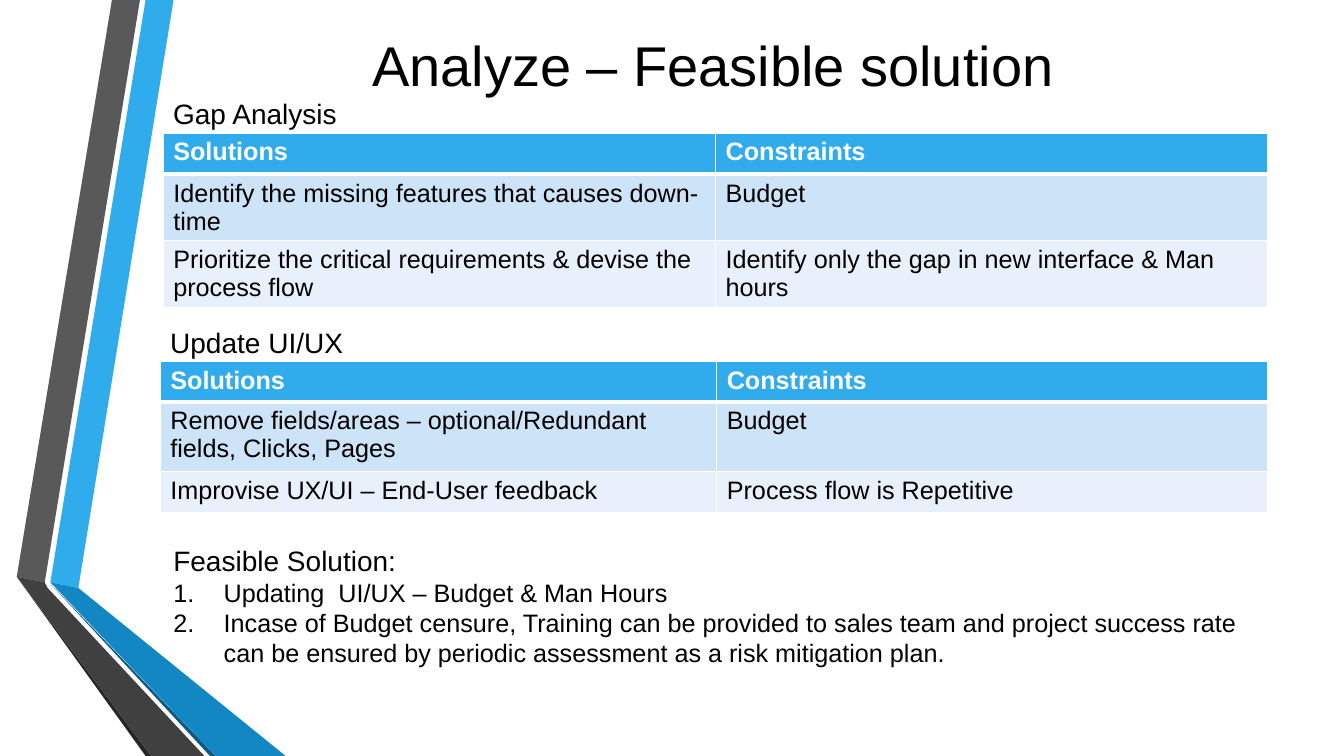
from dataclasses import dataclass

from lxml import etree
from pptx import Presentation, util as u
from pptx.dml.color import RGBColor
from pptx.enum import text
from pptx.oxml import ns


@dataclass(frozen=True)
class Theme:
    font: str = "Arial"
    title: int = 40
    heading: int = 20
    body: int = 18
    ink: str = "000000"
    paper: str = "FFFFFF"
    blue: str = "30ACEC"
    blue_foot: str = "1287C3"
    blue_edge: str = "0C5A82"
    grey: str = "595959"
    grey_foot: str = "404040"
    grey_edge: str = "262626"
    bands: tuple = ("CDE3F8", "E8F1FB")


class Deck:
    def __init__(self, theme):
        self.theme = theme
        self.prs = Presentation()
        self.prs.slide_width, self.prs.slide_height = u.Pt(960), u.Pt(540)
        self.s = self.prs.slides.add_slide(self.prs.slide_layouts[1])

    def place(self, sp, left, top, width, height):
        sp.left, sp.top = u.Pt(left), u.Pt(top)
        sp.width, sp.height = u.Pt(width), u.Pt(height)
        tf = sp.text_frame
        tf.word_wrap = True
        tf.auto_size = text.MSO_AUTO_SIZE.NONE
        return tf

    def style(self, p, size, color=None, bold=False):
        for r in p.runs:
            r.font.name = self.theme.font
            r.font.size = u.Pt(size)
            r.font.bold = bold
            r.font.color.rgb = RGBColor.from_string(color or self.theme.ink)

    def ribbon(self, color, points):
        fb = self.s.shapes.build_freeform(*points[0], scale=u.Pt(1))
        fb.add_line_segments(points[1:], close=True)
        sp = fb.convert_to_shape()
        sp.shadow.inherit = False
        sp.fill.solid()
        sp.fill.fore_color.rgb = RGBColor.from_string(color)
        sp.line.fill.background()

    def title(self, words, *box):
        tf = self.place(self.s.shapes.title, *box)
        tf.text = words
        tf.vertical_anchor = text.MSO_ANCHOR.MIDDLE
        p = tf.paragraphs[0]
        p.alignment = text.PP_ALIGN.CENTER
        self.style(p, self.theme.title)

    def heading(self, words, *box):
        tf = self.place(self.s.shapes.add_textbox(0, 0, 0, 0), *box)
        tf.text = words
        self.style(tf.paragraphs[0], self.theme.heading)

    def numbered(self, heading, items, *box):
        tf = self.place(self.s.placeholders[1], *box)
        tf.text = "\n".join([heading, *items])
        for i, p in enumerate(tf.paragraphs):
            p.space_before = u.Pt(0)
            self.style(p, self.theme.body if i else self.theme.heading)
            pPr = p._p.get_or_add_pPr()
            indent = u.Pt(36) if i else 0
            pPr.set("marL", str(indent))
            pPr.set("indent", str(-indent))
            if i:
                etree.SubElement(pPr, ns.qn("a:buAutoNum"), type="arabicPeriod")
            else:
                etree.SubElement(pPr, ns.qn("a:buNone"))

    def borders(self, cell, bottom):
        tcPr = cell._tc.get_or_add_tcPr()
        widths = {"lnL": 1, "lnR": 1, "lnT": 1, "lnB": bottom}
        for i, (side, width) in enumerate(widths.items()):
            ln = etree.Element(ns.qn(f"a:{side}"), w=str(u.Pt(width)))
            fill = etree.SubElement(ln, ns.qn("a:solidFill"))
            etree.SubElement(fill, ns.qn("a:srgbClr"), val=self.theme.paper)
            tcPr.insert(i, ln)

    def table(self, rows, left, top, widths, heights):
        t = self.theme
        box = [u.Pt(v) for v in (left, top, sum(widths), sum(heights))]
        tbl = self.s.shapes.add_table(len(rows), len(widths), *box).table
        for col, width in zip(tbl.columns, widths):
            col.width = u.Pt(width)
        for i, (row, height) in enumerate(zip(rows, heights)):
            tbl.rows[i].height = u.Pt(height)
            header = i == 0
            fill = t.blue if header else t.bands[(i - 1) % 2]
            for j, words in enumerate(row):
                cell = tbl.cell(i, j)
                cell.text = words
                cell.fill.solid()
                cell.fill.fore_color.rgb = RGBColor.from_string(fill)
                color = t.paper if header else t.ink
                self.style(cell.text_frame.paragraphs[0], t.body, color, header)
                self.borders(cell, 3 if header else 1)


def main():
    theme = Theme()
    d = Deck(theme)

    d.ribbon(theme.blue, [(36, 416), (55.5, 420), (124.5, 0), (104.5, 0)])
    d.ribbon(theme.grey, [(100, 0), (80, 0), (11.5, 412.5), (31.5, 415.5)])
    d.ribbon(theme.grey_edge, [(11.5, 412.5), (104.5, 540), (108.5, 540)])
    d.ribbon(theme.blue_edge, [(36, 417), (150, 540), (154, 540)])
    d.ribbon(theme.blue_foot, [(36, 416.5), (154, 540), (204, 540), (55.5, 420)])
    d.ribbon(theme.grey_foot, [(145.5, 540), (34.5, 420), (31.5, 415.5),
                               (11.5, 412.5), (108.5, 540)])

    d.title("Analyze – Feasible solution", 114.5, 21, 789, 50)

    header = ("Solutions", "Constraints")
    d.heading("Gap Analysis", 116.6, 65.5, 155.5, 31.5)
    d.table([
        header,
        ("Identify the missing features that causes down-time", "Budget"),
        ("Prioritize the critical requirements & devise the process flow",
         "Identify only the gap in new interface & Man hours"),
    ], 116.6, 95, (394.5, 394.5), (29.5, 47, 47))

    d.heading("Update UI/UX", 114.5, 229, 155.5, 31.5)
    d.table([
        header,
        ("Remove fields/areas – optional/Redundant fields, Clicks, Pages", "Budget"),
        ("Improvise UX/UI – End-User feedback", "Process flow is Repetitive"),
    ], 114.5, 258, (397.5, 393.5), (29, 50, 29.5))

    d.numbered("Feasible Solution:", [
        "Updating  UI/UX – Budget & Man Hours",
        "Incase of Budget censure, Training can be provided to sales team and "
        "project success rate can be ensured by periodic assessment as a risk "
        "mitigation plan.",
    ], 116.6, 384.5, 786, 121)

    d.prs.save("out.pptx")


if __name__ == "__main__":
    main()
